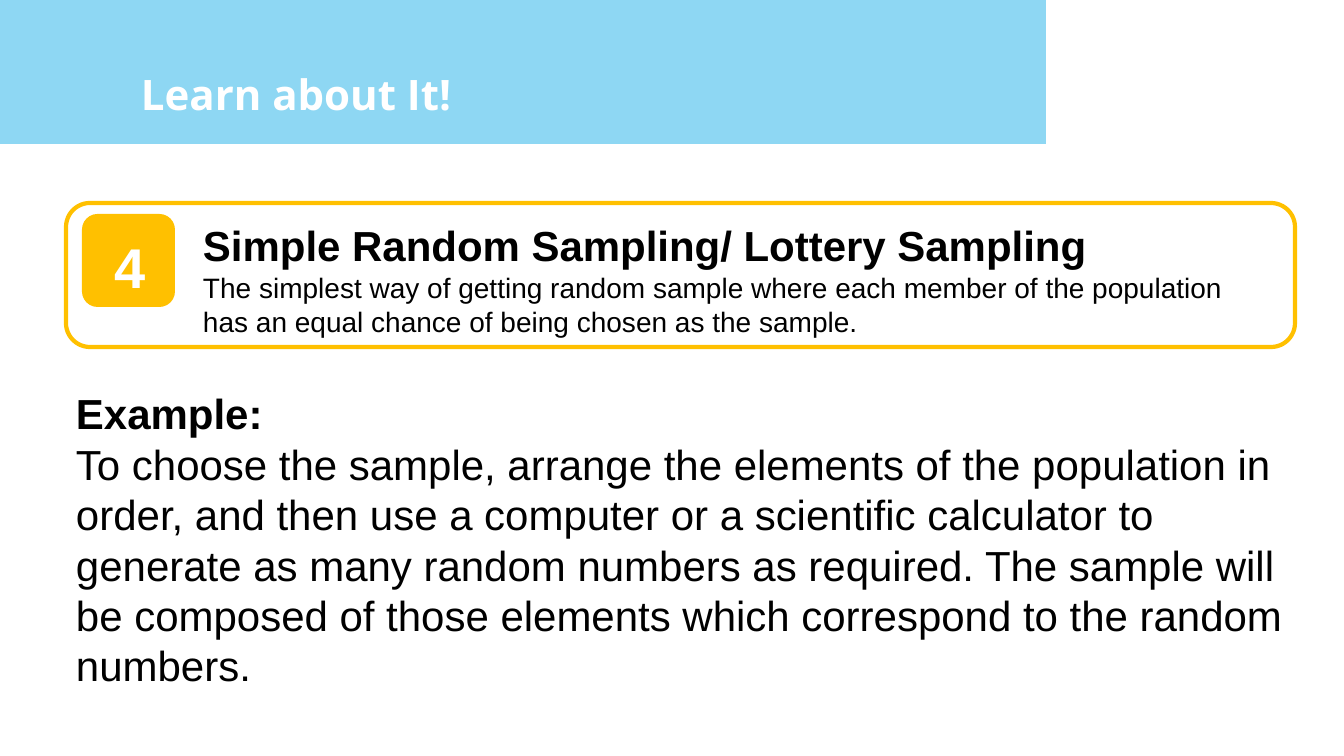
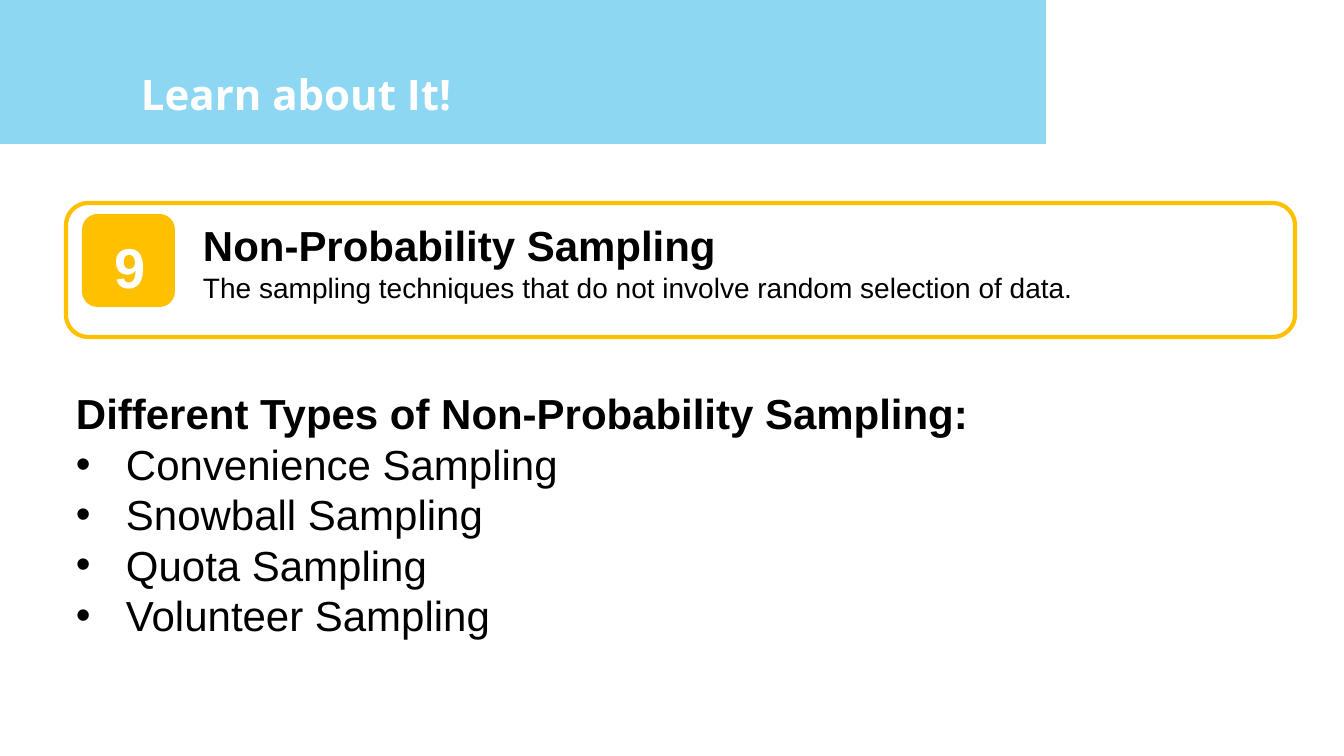
"""Build two lesson slides on sampling techniques."""
import pptx
import pptx.dml.color
import pptx.enum.shapes
import pptx.enum.text
import pptx.oxml
import pptx.util
import lxml.etree

COLORS = {"band": "8ED7F3", "accent": "FFC000", "light": "FFFFFF", "text": "000000"}
PX = 914400 / 100.8
INSET = 10
HEADING_PT, DETAIL_PT, BADGE_PT = 30, 20, 40
BULLET_INDENT = 50

SIZE = (1344, 756)
BAND = (0, 0, 1046, 144)
TITLE = (131, 59, 572, 96)
CARD = (66, 203, 1229)
CARD_TEXT = (193, 210, 1091, 137)
BADGE = (82, 214, 93, 93)
BODY = (66, 378, 1229, 318)

TITLE_TEXT = "Learn about It!"
SLIDES = [
    {
        "number": "4",
        "card_height": 144,
        "term": "Simple Random Sampling/ Lottery Sampling",
        "meaning": "The simplest way of getting random sample where each member of "
                   "the population has an equal chance of being chosen as the sample.",
        "heading": "Example:",
        "items": [
            "To choose the sample, arrange the elements of the population in order, "
            "and then use a computer or a scientific calculator to generate as many "
            "random numbers as required. The sample will be composed of those elements "
            "which correspond to the random numbers.",
        ],
        "bulleted": False,
    },
    {
        "number": "9",
        "card_height": 134,
        "term": "Non-Probability Sampling",
        "meaning": "The sampling techniques that do not involve random selection of data.",
        "heading": "Different Types of Non-Probability Sampling:",
        "items": ["Convenience Sampling", "Snowball Sampling",
                  "Quota Sampling", "Volunteer Sampling"],
        "bulleted": True,
    },
]


def px(n):
    return pptx.util.Emu(round(n * PX))


def rgb(name):
    return pptx.dml.color.RGBColor.from_string(COLORS[name])


def place(sp, box):
    sp.left, sp.top, sp.width, sp.height = map(px, box)


def set_frame(tf, left=INSET, top=INSET):
    tf.word_wrap = True
    tf.auto_size = pptx.enum.text.MSO_AUTO_SIZE.NONE
    tf.vertical_anchor = pptx.enum.text.MSO_ANCHOR.TOP
    tf.margin_left, tf.margin_top = px(left), px(top)
    tf.margin_right = tf.margin_bottom = px(INSET)


def set_bullet(p, bulleted):
    pPr = p._p.get_or_add_pPr()
    indent = px(BULLET_INDENT) if bulleted else 0
    pPr.set("marL", str(indent))
    pPr.set("indent", str(-indent))
    ns = pptx.oxml.ns.qn
    if bulleted:
        clr = lxml.etree.SubElement(pPr, ns("a:buClr"))
        lxml.etree.SubElement(clr, ns("a:srgbClr"), val=COLORS["text"])
        lxml.etree.SubElement(pPr, ns("a:buChar"), char="•")
    else:
        lxml.etree.SubElement(pPr, ns("a:buNone"))


def style(p, size, bold=False, color="text", font="Arial"):
    p.alignment = pptx.enum.text.PP_ALIGN.LEFT
    p.space_before = pptx.util.Pt(0)
    for r in p.runs:
        r.font.size = pptx.util.Pt(size)
        r.font.bold = bold
        r.font.name = font
        r.font.color.rgb = rgb(color)


def add_box(s, kind, box, fill=None, line=None):
    sp = s.shapes.add_shape(kind, *map(px, box))
    sp.shadow.inherit = False
    if fill:
        sp.fill.solid()
        sp.fill.fore_color.rgb = rgb(fill)
    else:
        sp.fill.background()
    if line:
        sp.line.color.rgb = rgb(line)
        sp.line.width = pptx.util.Pt(3)
    else:
        sp.line.fill.background()
    return sp


def add_header(s):
    band = add_box(s, pptx.enum.shapes.MSO_SHAPE.RECTANGLE, BAND, fill="band")
    s.shapes._spTree.insert(2, band._element)
    tf = s.shapes.title.text_frame
    tf.text = TITLE_TEXT
    set_frame(tf)
    style(tf.paragraphs[0], HEADING_PT, True, "light", "Open Sans")


def add_card(s, data):
    rounded = pptx.enum.shapes.MSO_SHAPE.ROUNDED_RECTANGLE
    add_box(s, rounded, (*CARD, data["card_height"]), line="accent")

    tf = s.shapes.add_textbox(*map(px, CARD_TEXT)).text_frame
    set_frame(tf)
    tf.text = data["term"] + "\n" + data["meaning"]
    style(tf.paragraphs[0], HEADING_PT, True)
    style(tf.paragraphs[1], DETAIL_PT)

    tf = add_box(s, rounded, BADGE, fill="accent").text_frame
    set_frame(tf, left=28, top=14)
    tf.text = data["number"]
    style(tf.paragraphs[0], BADGE_PT, True, "light")


def add_body(s, data):
    tf = s.placeholders[1].text_frame
    set_frame(tf)
    tf.text = "\n".join([data["heading"], *data["items"]])
    for i, p in enumerate(tf.paragraphs):
        set_bullet(p, data["bulleted"] and i > 0)
        style(p, HEADING_PT, bold=i == 0)


def main():
    prs = pptx.Presentation()
    prs.slide_width, prs.slide_height = map(px, SIZE)
    layout = prs.slide_layouts[1]
    place(layout.placeholders[0], TITLE)
    place(layout.placeholders[1], BODY)
    for data in SLIDES:
        s = prs.slides.add_slide(layout)
        add_header(s)
        add_card(s, data)
        add_body(s, data)
    prs.save("out.pptx")


if __name__ == "__main__":
    main()
